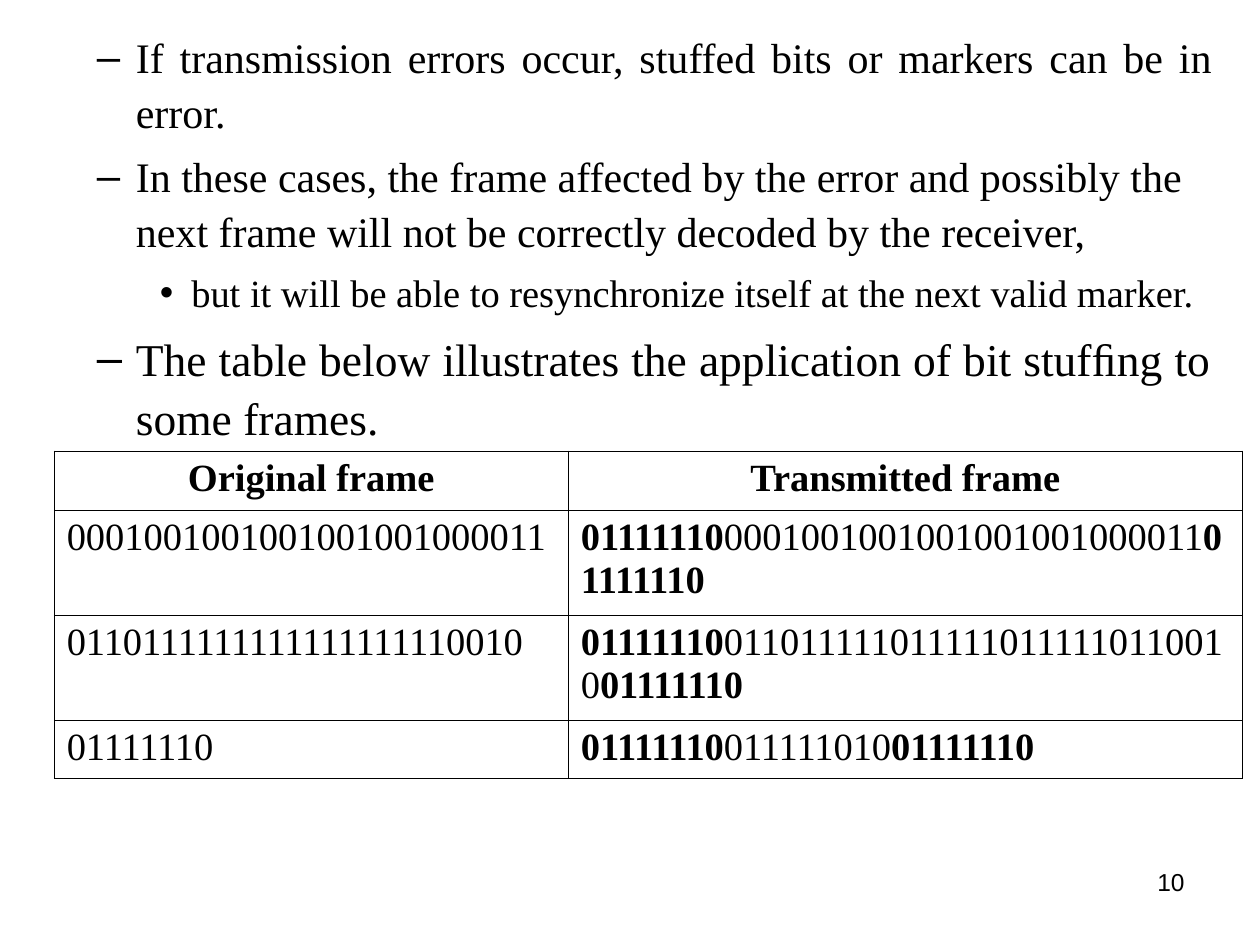
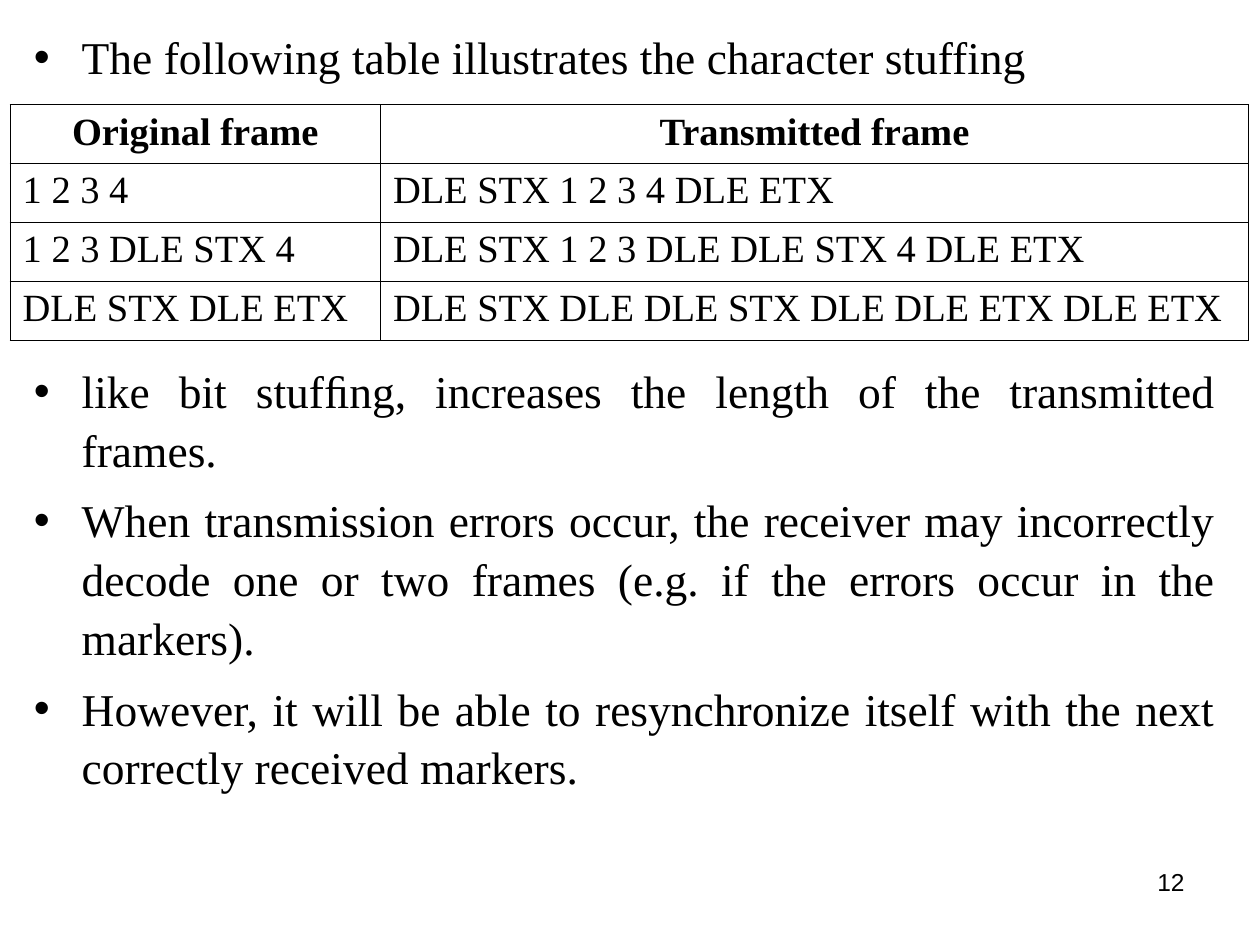
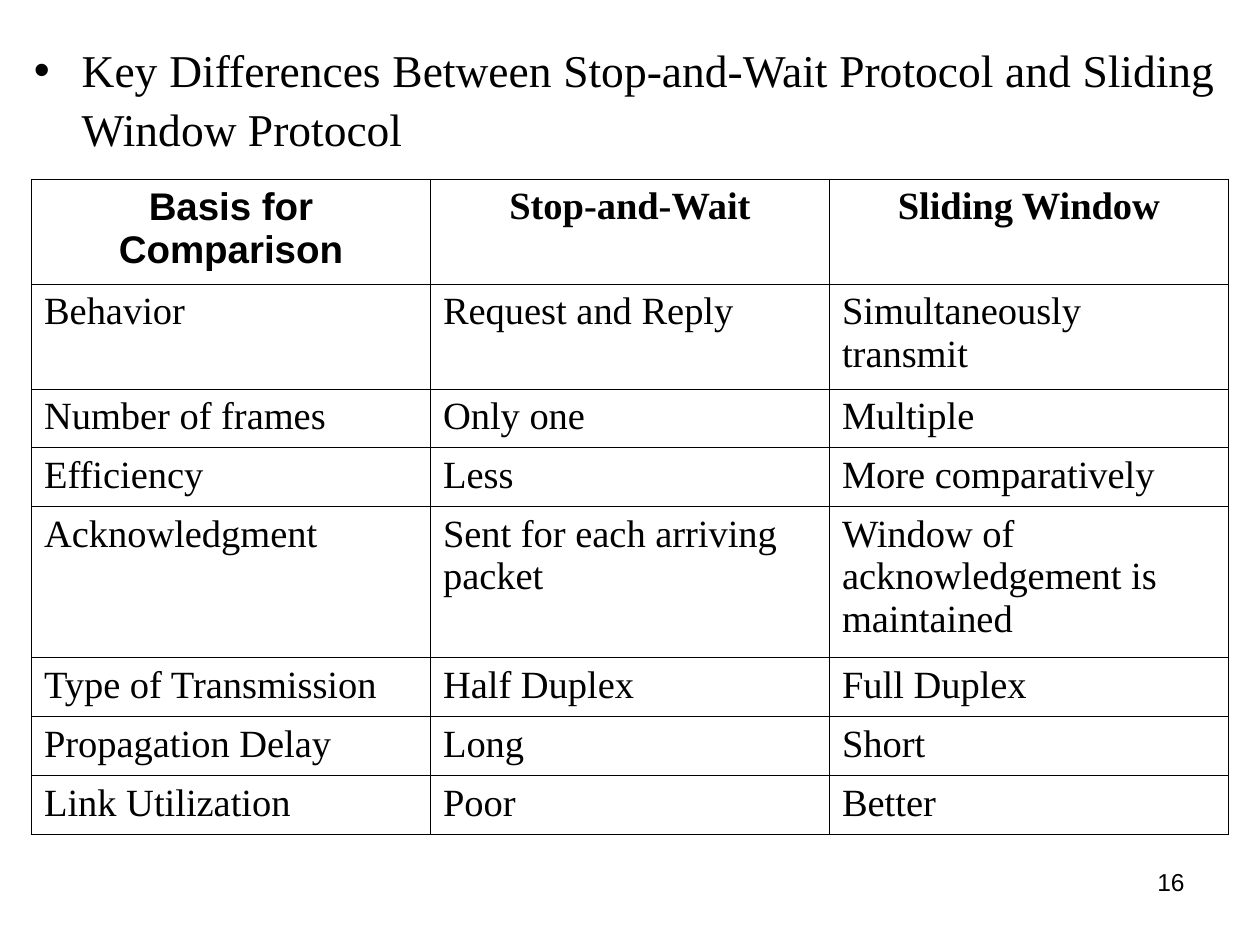
"""Build three slides on bit stuffing, character stuffing and sliding windows."""

from dataclasses import dataclass

import pptx
import pptx.dml.color
import pptx.enum.text
import pptx.oxml
import pptx.oxml.ns
import pptx.presentation
import pptx.slide
import pptx.table
import pptx.text.text
import pptx.util

Inches = pptx.util.Inches
Pt = pptx.util.Pt
Align = pptx.enum.text.PP_ALIGN

COLORS = {"ink": "000000", "page": "FFFFFF"}
SERIF = "Times New Roman"
SANS = "Arial"
FLAG = "**01111110**"
BORDER_WIDTH = Pt(0.45)
TABLE_TEXT_SIZE = 22
BODY_LINE_SPACING = 1.08


@dataclass(frozen=True)
class BulletStyle:
    mark: str
    level: int
    indent: float
    hanging: float


MAIN = BulletStyle("•", 0, 0.38, 0.38)
DASH = BulletStyle("–", 1, 0.81, 0.31)
DETAIL = BulletStyle("•", 2, 1.25, 0.25)


@dataclass(frozen=True)
class Point:
    text: str
    style: BulletStyle = MAIN
    size: float = 26
    align: Align = Align.JUSTIFY
    space_before: float = 6.5


@dataclass(frozen=True)
class Grid:
    left: float
    top: float
    column_widths: tuple[float, ...]
    row_lines: tuple[int, ...]
    rows: tuple[tuple[str, ...], ...]
    first_heading_font: str = SERIF


@dataclass(frozen=True)
class Page:
    number: int
    body_box: tuple[float, float, float, float]
    points: tuple[Point, ...]
    grid: Grid


PAGES = (
    Page(
        10,
        (0.17, 0.17, 9.55, 7.17),
        (
            Point("If transmission errors occur, stuffed bits or markers can be in error.", DASH, 24),
            Point(
                "In these cases, the frame affected by the error and possibly the next frame "
                "will not be correctly decoded by the receiver,",
                DASH, 24, Align.LEFT, 6,
            ),
            Point(
                "but it will be able to resynchronize itself at the next valid marker.",
                DETAIL, 22, Align.LEFT, 5.5,
            ),
            Point("The table below illustrates the application of bit stufﬁng to some frames.", DASH),
        ),
        Grid(
            0.43, 3.58, (4.08, 5.35), (1, 2, 2, 1),
            (
                ("Original frame", "Transmitted frame"),
                ("0001001001001001001000011", f"{FLAG}0001001001001001001000011{FLAG}"),
                ("0110111111111111111110010", f"{FLAG}0110111110111110111110110010{FLAG}"),
                ("01111110", f"{FLAG}011111010{FLAG}"),
            ),
        ),
    ),
    Page(
        12,
        (0.17, 0.15, 9.58, 6.68),
        (
            Point("The following table illustrates the character stuffing"),
            Point(
                "like bit stufﬁng, increases the length of the transmitted frames.",
                space_before=157,
            ),
            Point(
                "When transmission errors occur, the receiver may incorrectly decode one or two "
                "frames (e.g. if the errors occur in the markers)."
            ),
            Point(
                "However, it will be able to resynchronize itself with the next correctly "
                "received markers."
            ),
        ),
        Grid(
            0.08, 0.83, (2.94, 6.89), (1, 1, 1, 1),
            (
                ("Original frame", "Transmitted frame"),
                ("1 2 3 4", "DLE STX 1 2 3 4 DLE ETX"),
                ("1 2 3 DLE STX 4", "DLE STX 1 2 3 DLE DLE STX 4 DLE ETX"),
                ("DLE STX DLE ETX", "DLE STX DLE DLE STX DLE DLE ETX DLE ETX"),
            ),
        ),
    ),
    Page(
        16,
        (0.17, 0.25, 9.58, 6.58),
        (Point("Key Differences Between Stop-and-Wait Protocol and Sliding Window Protocol"),),
        Grid(
            0.25, 1.42, (9.5 / 3,) * 3, (2, 2, 1, 1, 3, 1, 1, 1),
            (
                ("Basis for Comparison", "Stop-and-Wait", "Sliding Window"),
                ("Behavior", "Request and Reply", "Simultaneously transmit"),
                ("Number of frames", "Only one", "Multiple"),
                ("Efficiency", "Less", "More comparatively"),
                (
                    "Acknowledgment",
                    "Sent for each arriving packet",
                    "Window of acknowledgement is maintained",
                ),
                ("Type of Transmission", "Half Duplex", "Full Duplex"),
                ("Propagation Delay", "Long", "Short"),
                ("Link Utilization", "Poor", "Better"),
            ),
            SANS,
        ),
    ),
)


def write_text(
    paragraph: pptx.text.text._Paragraph,
    text: str,
    *,
    size: float,
    font: str = SERIF,
    bold: bool = False,
    align: Align = Align.LEFT,
) -> None:
    """Write text into a paragraph, with bold parts between double asterisks."""
    paragraph.alignment = align
    for index, part in enumerate(text.split("**")):
        if part:
            run = paragraph.add_run()
            run.text = part
            run.font.size = Pt(size)
            run.font.name = font
            run.font.bold = bold or index % 2 == 1
            run.font.color.rgb = pptx.dml.color.RGBColor.from_string(COLORS["ink"])


def add_text_frame(
    slide: pptx.slide.Slide, box: tuple[float, float, float, float]
) -> pptx.text.text.TextFrame:
    """Add a wrapping text box and return its text frame."""
    text_frame = slide.shapes.add_textbox(*map(Inches, box)).text_frame
    text_frame.word_wrap = True
    return text_frame


def add_bullet(paragraph: pptx.text.text._Paragraph, style: BulletStyle) -> None:
    """Give a paragraph its level, hanging indent and bullet mark."""
    paragraph.level = style.level
    properties = paragraph._p.get_or_add_pPr()
    properties.set("marL", str(Inches(style.indent)))
    properties.set("indent", str(-Inches(style.hanging)))
    namespace = pptx.oxml.ns.nsdecls("a")
    for xml in (
        f'<a:buClr {namespace}><a:srgbClr val="{COLORS["ink"]}"/></a:buClr>',
        f'<a:buFont {namespace} typeface="{SANS}"/>',
        f'<a:buChar {namespace} char="{style.mark}"/>',
    ):
        properties.append(pptx.oxml.parse_xml(xml))


def add_points(slide: pptx.slide.Slide, page: Page) -> None:
    """Add the bulleted body text of a page."""
    text_frame = add_text_frame(slide, page.body_box)
    for index, point in enumerate(page.points):
        paragraph = text_frame.add_paragraph() if index else text_frame.paragraphs[0]
        add_bullet(paragraph, point.style)
        paragraph.line_spacing = BODY_LINE_SPACING
        if index:
            paragraph.space_before = Pt(point.space_before)
        write_text(paragraph, point.text, size=point.size, align=point.align)


def outline_cell(cell: pptx.table._Cell) -> None:
    """Clear a cell's fill and draw thin lines on its four sides."""
    properties = cell._tc.get_or_add_tcPr()
    for side in ("lnL", "lnR", "lnT", "lnB"):
        properties.append(
            pptx.oxml.parse_xml(
                f'<a:{side} {pptx.oxml.ns.nsdecls("a")} w="{BORDER_WIDTH}">'
                f'<a:solidFill><a:srgbClr val="{COLORS["ink"]}"/></a:solidFill></a:{side}>'
            )
        )
    cell.fill.background()


def add_grid(slide: pptx.slide.Slide, grid: Grid) -> None:
    """Add a table with a bold, centred heading row."""
    heights = [0.1 + 1.1 / 3 * lines for lines in grid.row_lines]
    table = slide.shapes.add_table(
        len(heights),
        len(grid.column_widths),
        Inches(grid.left),
        Inches(grid.top),
        Inches(sum(grid.column_widths)),
        Inches(sum(heights)),
    ).table
    table.first_row = False
    table.horz_banding = False
    for column, width in zip(table.columns, grid.column_widths):
        column.width = Inches(width)
    for row_index, (row, height, texts) in enumerate(zip(table.rows, heights, grid.rows)):
        row.height = Inches(height)
        heading = row_index == 0
        for column_index, (cell, text) in enumerate(zip(row.cells, texts)):
            outline_cell(cell)
            write_text(
                cell.text_frame.paragraphs[0],
                text,
                size=TABLE_TEXT_SIZE,
                font=grid.first_heading_font if heading and column_index == 0 else SERIF,
                bold=heading,
                align=Align.CENTER if heading else Align.LEFT,
            )


def add_page(presentation: pptx.presentation.Presentation, page: Page) -> None:
    """Add one slide with its points, page number and table."""
    slide = presentation.slides.add_slide(presentation.slide_layouts[6])
    background = slide.background.fill
    background.solid()
    background.fore_color.rgb = pptx.dml.color.RGBColor.from_string(COLORS["page"])
    add_points(slide, page)
    number_frame = add_text_frame(slide, (7.17, 6.83, 2.33, 0.52))
    write_text(
        number_frame.paragraphs[0], str(page.number), size=14, font=SANS, align=Align.RIGHT
    )
    add_grid(slide, page.grid)


def main() -> None:
    """Build and save the presentation."""
    presentation = pptx.Presentation()
    presentation.slide_width = Inches(10)
    presentation.slide_height = Inches(7.5)
    for page in PAGES:
        add_page(presentation, page)
    presentation.save("out.pptx")


if __name__ == "__main__":
    main()
